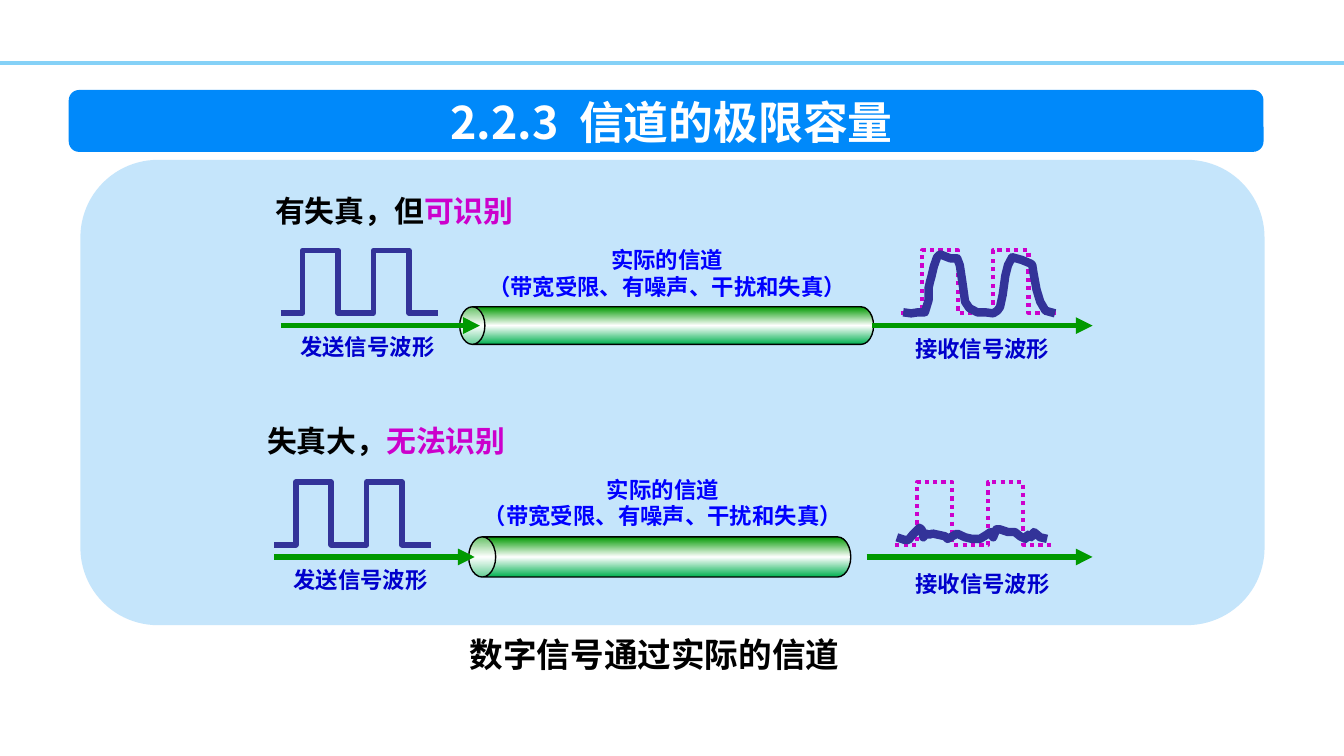
from copy import deepcopy

from pptx import Presentation
from pptx.dml.color import RGBColor
from pptx.enum.dml import MSO_LINE
from pptx.enum.shapes import MSO_CONNECTOR, MSO_SHAPE
from pptx.enum.text import MSO_ANCHOR, MSO_AUTO_SIZE, PP_ALIGN
from pptx.oxml.ns import qn
from pptx.util import Cm, Pt

ROUND, CAN = MSO_SHAPE.ROUNDED_RECTANGLE, MSO_SHAPE.CAN
STRAIGHT, DOTS = MSO_CONNECTOR.STRAIGHT, MSO_LINE.ROUND_DOT
MIDDLE, NO_FIT = MSO_ANCHOR.MIDDLE, MSO_AUTO_SIZE.NONE
LEFT, CENTER = PP_ALIGN.LEFT, PP_ALIGN.CENTER

FONT = "Noto Sans CJK SC"
WHITE = RGBColor(0xFF, 0xFF, 0xFF)
BLACK = RGBColor(0, 0, 0)
SKY = RGBColor(0x85, 0xD1, 0xF7)
AZURE = RGBColor(0x00, 0x89, 0xFA)
PALE = RGBColor(0xC5, 0xE5, 0xFB)
NAVY = RGBColor(0x33, 0x33, 0x99)
BLUE = RGBColor(0x00, 0x00, 0xFF)
INK = RGBColor(0x00, 0x00, 0xCC)
PINK = RGBColor(0xCC, 0x00, 0xCC)
GREEN = RGBColor(0x00, 0x99, 0x00)
MINT = RGBColor(0x00, 0xB0, 0x50)

# Wave points in hundredths of a centimetre, from the top left of a wave
LOW = 118
EDGES = [41 + 67 * i for i in range(4)]
SQUARE = [(0, LOW)]
for i, edge in enumerate(EDGES):
    SQUARE += [(edge, y) for y in ((LOW, 0) if i % 2 == 0 else (0, LOW))]
SQUARE.append((296, LOW))

CLEAR = [(5, 117), (20, 119), (33, 117), (46, 117), (53, 94), (53, 71),
         (56, 58), (58, 51), (63, 30), (69, 13), (74, 8), (76, 8), (94, 15),
         (107, 15), (112, 28), (117, 61), (122, 97), (130, 109), (145, 117),
         (160, 117), (175, 119), (183, 114), (188, 107), (193, 84), (198, 48),
         (203, 28), (211, 13), (229, 18), (246, 25), (249, 28), (251, 41),
         (257, 74), (264, 97), (274, 114), (292, 119)]
NOISY = [(3, 104), (18, 109), (25, 109), (33, 99), (46, 86), (51, 91),
         (53, 104), (58, 97), (64, 99), (71, 97), (94, 102), (99, 107),
         (117, 97), (132, 104), (145, 107), (160, 107), (173, 99), (180, 94),
         (185, 104), (191, 89), (198, 89), (213, 94), (226, 94), (236, 102),
         (246, 107), (251, 99), (257, 104), (262, 94), (274, 104), (287, 107)]

# Each row: places in centimetres
ROWS = [
    dict(head=("有失真，但", "可识别"), head_box=(4.95, 3.45, 5.08, 1.02),
         gap=1.1, top=4.73, axis=6.15, send=(5.31, 9.07), wave=17.02,
         got=(16.48, 20.65), curve=CLEAR, pipe=(12.6, 7.82, 0.71),
         sent_box=(5.41, 6.17, 3.07, 0.76), got_box=(16.71, 6.2, 3.71, 0.76),
         pipe_box=(8.94, 4.52, 7.34, 1.27)),
    dict(head=("失真大，", "无法识别"), head_box=(4.8, 7.85, 5.23, 0.94),
         gap=1.0, top=9.11, axis=10.52, send=(5.18, 8.97), wave=16.92,
         got=(16.38, 20.65), curve=NOISY, pipe=(12.47, 7.22, 0.76),
         sent_box=(5.28, 10.57, 3.07, 0.76), got_box=(16.79, 10.64, 3.56, 0.76),
         pipe_box=(8.86, 8.86, 7.34, 1.3)),
]


def write(par, parts, size, align=CENTER):
    """Fill a paragraph with (text, colour) runs."""
    par.alignment = align
    form = {"size": Pt(size), "bold": True, "name": FONT}
    for text, color in parts:
        run = par.add_run()
        run.text = text
        for key, val in form.items():
            setattr(run.font, key, val)
        run.font.color.rgb = color
        east = run.font._element.makeelement(qn("a:ea"), {"typeface": FONT})
        run.font._element.find(qn("a:latin")).addnext(east)


def label(tree, box, lines, size, align=CENTER, wrap=False, gap=None):
    frame = tree.add_textbox(*map(Cm, box)).text_frame
    frame.word_wrap = wrap
    for i, parts in enumerate(lines):
        par = frame.add_paragraph() if i else frame.paragraphs[0]
        write(par, parts, size, align)
        if gap:
            par.line_spacing = gap


def panel(tree, box, color):
    shape = tree.add_shape(ROUND, *map(Cm, box))
    shape.shadow.inherit = False
    shape.fill.solid()
    shape.fill.fore_color.rgb = color
    shape.line.fill.background()


def rule(tree, start, end, y, color, width, arrow=False):
    line = tree.add_connector(STRAIGHT, Cm(start), Cm(y), Cm(end), Cm(y))
    line.line.color.rgb = color
    line.line.width = Pt(width)
    props = line._element.spPr
    if arrow:
        stroke = line.line._get_or_add_ln()
        stroke.append(stroke.makeelement(qn("a:tailEnd"), {"type": "triangle"}))
    props.append(props.makeelement(qn("a:effectLst"), {}))


def wave(tree, left, top, points, color, width, dash=None):
    pen = tree.build_freeform(*points[0], scale=Cm(0.01))
    pen.add_line_segments(points[1:], close=False)
    shape = pen.convert_to_shape(Cm(left), Cm(top))
    shape.shadow.inherit = False
    shape.fill.background()
    shape.line.color.rgb = color
    shape.line.width = Pt(width)
    if dash:
        shape.line.dash_style = dash


def pipe(tree, mid, axis, length, thick):
    """An upright can turned on its side around its centre."""
    shape = tree.add_shape(CAN, Cm(mid - thick / 2), Cm(axis - length / 2),
                           Cm(thick), Cm(length))
    shape.rotation = 270
    shape.adjustments[0] = 0.67
    shape.shadow.inherit = False
    shape.line.color.rgb = BLACK
    shape.line.width = Pt(0.75)
    fill = shape.fill
    fill.gradient()
    fill.gradient_angle = 0
    stops = shape._element.spPr.find(qn("a:gradFill")).find(qn("a:gsLst"))
    stops.append(deepcopy(stops[0]))
    for stop, at, color in zip(fill.gradient_stops, (0, 0.5, 1),
                               (MINT, WHITE, GREEN)):
        stop.position = at
        stop.color.rgb = color


def channel(tree, row):
    """One sent wave, its pipe and the received wave."""
    top, axis = row["top"], row["axis"]
    mid, length, thick = row["pipe"]
    pipe(tree, mid, axis, length, thick)
    wave(tree, row["send"][0], top, SQUARE, NAVY, 3)
    wave(tree, row["wave"], top, SQUARE, PINK, 2.25, DOTS)
    for ends in (row["send"], row["got"]):
        rule(tree, *ends, axis, GREEN, 3, arrow=True)
    wave(tree, row["wave"], top, row["curve"], NAVY, 4.5)
    label(tree, row["pipe_box"], [[("实际的信道", BLUE)],
          [("（带宽受限、有噪声、干扰和失真）", BLUE)]], 12)
    label(tree, row["sent_box"], [[("发送信号波形", INK)]], 12)
    label(tree, row["got_box"], [[("接收信号波形", INK)]], 12, wrap=True)
    label(tree, row["head_box"], [list(zip(row["head"], (BLACK, PINK)))], 16,
          LEFT, gap=row["gap"])


def heading(slide, text):
    title, body = slide.placeholders
    title._element.getparent().remove(title._element)
    slide.shapes._spTree.append(body._element)
    place = {"left": 3.48, "top": 1.78, "width": 18.42, "height": 1.02}
    for key, val in place.items():
        setattr(body, key, Cm(val))
    form = {"auto_size": NO_FIT, "vertical_anchor": MIDDLE, "word_wrap": True}
    for key, val in form.items():
        setattr(body.text_frame, key, val)
    par = body.text_frame.paragraphs[0]
    par.space_before = Pt(0)
    write(par, [(text, WHITE)], 24)


def main():
    prs = Presentation()
    prs.slide_width, prs.slide_height = Cm(25.4), Cm(14.28)
    slide = prs.slides.add_slide(prs.slide_layouts[2])
    tree = slide.shapes
    # Top rule and title bar
    rule(tree, 0, 25.4, 1.19, SKY, 2)
    panel(tree, (1.3, 1.7, 22.58, 1.17), AZURE)
    heading(slide, "2.2.3  信道的极限容量")
    # Panel with both channels
    panel(tree, (1.52, 3.02, 22.38, 8.79), PALE)
    for row in ROWS:
        channel(tree.add_group_shape().shapes, row)
    # Caption
    label(tree, (7.67, 11.84, 9.4, 1.02),
          [[("数字信号通过实际的信道", BLACK)]], 18, wrap=True)
    prs.save("out.pptx")


if __name__ == "__main__":
    main()
